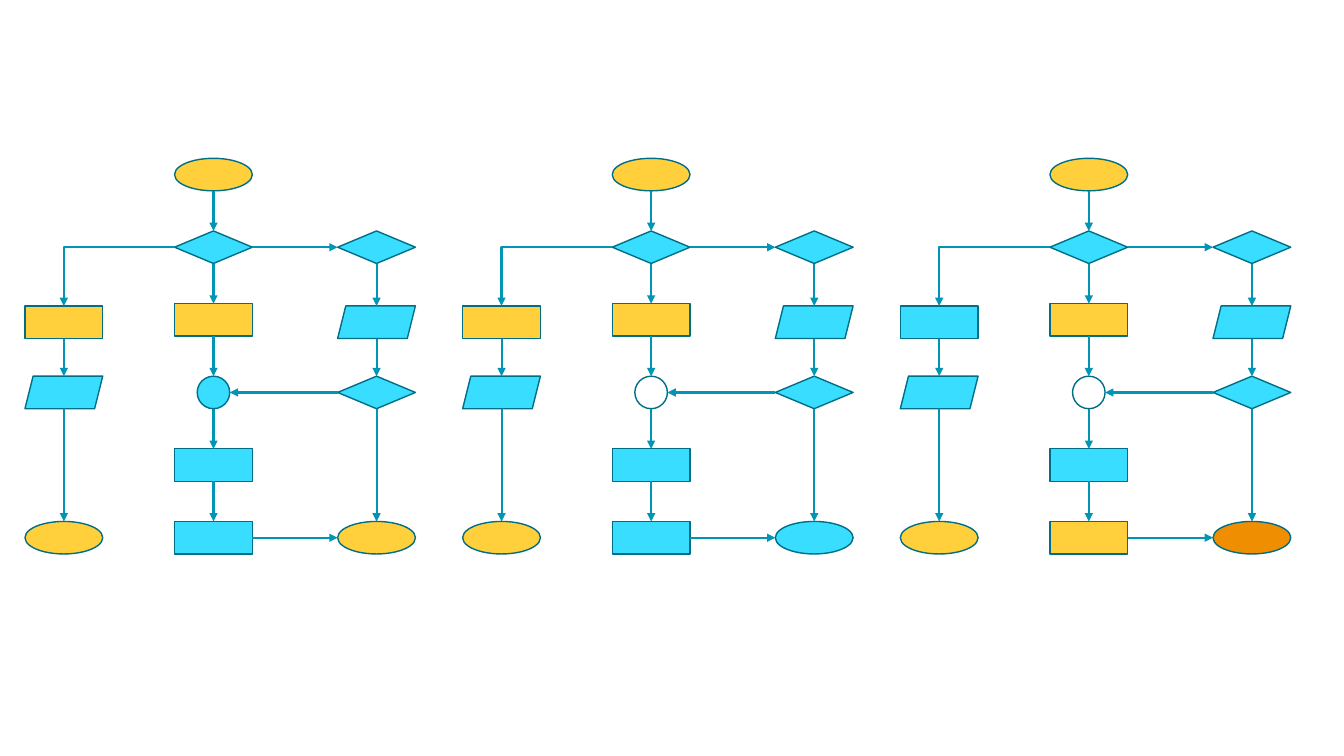
from pptx import Presentation
from pptx.dml.color import RGBColor
from pptx.enum.shapes import MSO_CONNECTOR, MSO_SHAPE
from pptx.oxml.ns import qn
from pptx.util import Cm, Pt
from lxml.etree import SubElement


def paint(color_format, hex_color):
    color_format.rgb = RGBColor.from_string(hex_color)


YELLOW, CYAN, WHITE, ORANGE = "FFD03B", "39DDFF", "FFFFFF", "EF8E00"
OUTLINE, ARROW = "006E85", "0095B4"

LEFT, MIDDLE, RIGHT = 1.61, 5.38, 9.49
ROWS = [4.4 + 1.83 * row for row in range(6)]
SIDE_ROW = ROWS[2] + 0.06
WIDTH, HEIGHT = 1.96, 0.82
FLOW_GAP = 11.03

OVAL, DIAMOND = MSO_SHAPE.OVAL, MSO_SHAPE.DIAMOND
BOX, SLANT = MSO_SHAPE.RECTANGLE, MSO_SHAPE.PARALLELOGRAM

steps = {
    "start": (OVAL, MIDDLE, ROWS[0], WIDTH, YELLOW),
    "decision": (DIAMOND, MIDDLE, ROWS[1], WIDTH, CYAN),
    "right decision": (DIAMOND, RIGHT, ROWS[1], WIDTH, CYAN),
    "left process": (BOX, LEFT, SIDE_ROW, WIDTH, YELLOW),
    "process": (BOX, MIDDLE, ROWS[2], WIDTH, YELLOW),
    "right data": (SLANT, RIGHT, SIDE_ROW, WIDTH, CYAN),
    "left data": (SLANT, LEFT, ROWS[3], WIDTH, CYAN),
    "junction": (OVAL, MIDDLE, ROWS[3], HEIGHT, WHITE),
    "right check": (DIAMOND, RIGHT, ROWS[3], WIDTH, CYAN),
    "next process": (BOX, MIDDLE, ROWS[4], WIDTH, CYAN),
    "left end": (OVAL, LEFT, ROWS[5], WIDTH, YELLOW),
    "last process": (BOX, MIDDLE, ROWS[5], WIDTH, CYAN),
    "right end": (OVAL, RIGHT, ROWS[5], WIDTH, YELLOW),
}

sides = {"top": (0, -1), "bottom": (0, 1), "left": (-1, 0), "right": (1, 0)}

chains = [
    ("start", "decision", "process", "junction", "next process", "last process"),
    ("right decision", "right data", "right check", "right end"),
    ("left process", "left data", "left end"),
]
links = [
    (upper, "bottom", lower, "top")
    for chain in chains
    for upper, lower in zip(chain, chain[1:])
] + [
    ("decision", "right", "right decision", "left"),
    ("right check", "left", "junction", "right"),
    ("last process", "right", "right end", "left"),
    ("decision", "left", "left process", "top"),
]

flow_fills = [
    {"junction": CYAN},
    {"right end": CYAN},
    {"left process": CYAN, "last process": YELLOW, "right end": ORANGE},
]

presentation = Presentation()
presentation.slide_width, presentation.slide_height = Cm(33.87), Cm(19.05)
slide = presentation.slides.add_slide(presentation.slide_layouts[6])

for flow, fills in enumerate(flow_fills):
    offset = flow * FLOW_GAP

    for name, (kind, x, y, width, fill) in steps.items():
        step = slide.shapes.add_shape(
            kind, Cm(offset + x - width / 2), Cm(y - HEIGHT / 2), Cm(width), Cm(HEIGHT)
        )
        step.shadow.inherit = False
        step.fill.solid()
        paint(step.fill.fore_color, fills.get(name, fill))
        paint(step.line.color, OUTLINE)
        step.line.width = Pt(1)

    for source, source_side, target, target_side in links:
        ends = []
        for name, side in ((source, source_side), (target, target_side)):
            kind, x, y, width, fill = steps[name]
            across, down = sides[side]
            ends += [Cm(offset + x + across * width / 2), Cm(y + down * HEIGHT / 2)]
        bent = source_side == "left" and target_side == "top"
        arrow = slide.shapes.add_connector(
            MSO_CONNECTOR.ELBOW if bent else MSO_CONNECTOR.STRAIGHT, *ends
        )
        paint(arrow.line.color, ARROW)
        arrow.line.width = Pt(1.5)
        properties = arrow._element.spPr
        if bent:
            properties.find(qn("a:prstGeom")).set("prst", "bentConnector2")
        SubElement(arrow.line._get_or_add_ln(), qn("a:tailEnd"), type="triangle")
        SubElement(properties, qn("a:effectLst"))

presentation.save("out.pptx")
